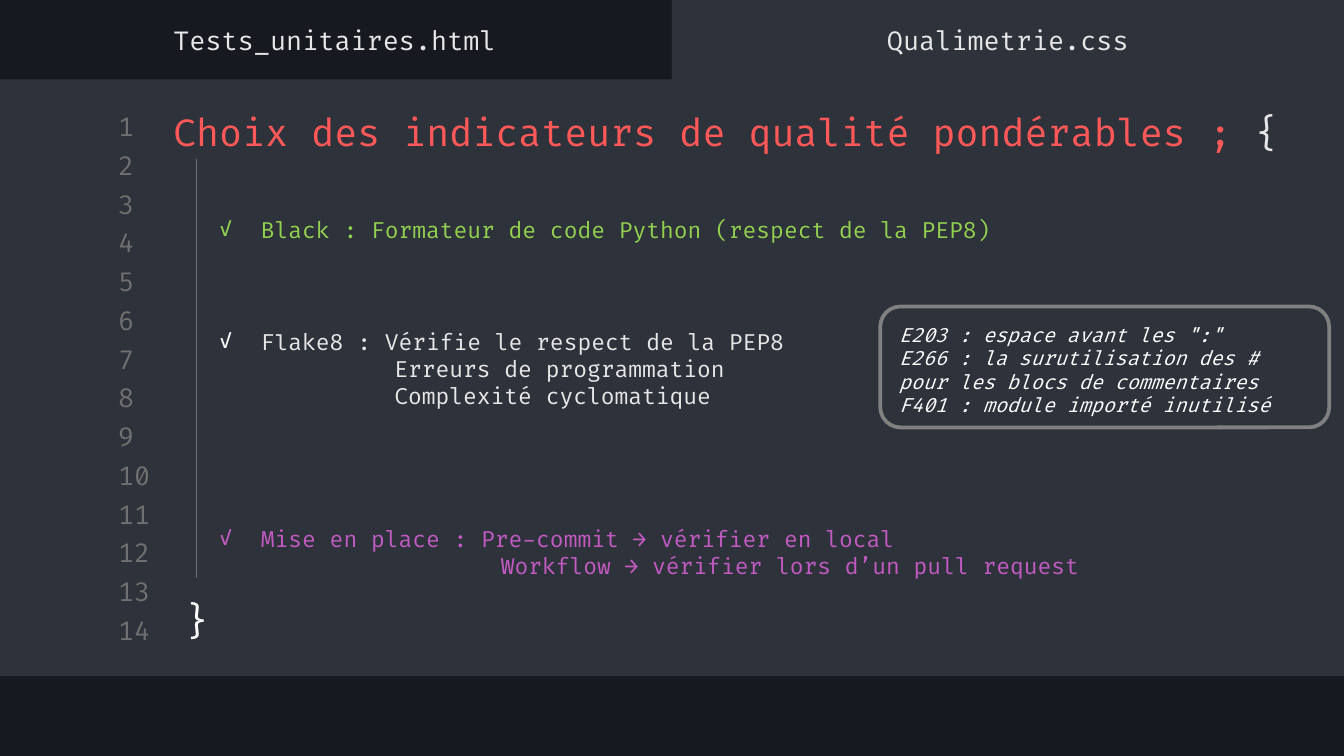
"""Build the slide on quality indicators, styled as a code editor."""
from lxml.etree import SubElement
from pptx import Presentation
from pptx.dml.color import RGBColor
from pptx.enum.shapes import MSO_CONNECTOR, MSO_SHAPE
from pptx.enum.text import MSO_ANCHOR, PP_ALIGN
from pptx.oxml.ns import qn
from pptx.util import Pt

NIGHT = RGBColor(0x16, 0x19, 0x1F)
PANEL = RGBColor(0x2E, 0x32, 0x3B)
DIM = RGBColor(0x70, 0x70, 0x70)
GRAY = RGBColor(0x80, 0x80, 0x80)
LIGHT = RGBColor(0xE7, 0xE7, 0xE7)
WHITE = RGBColor(0xFF, 0xFF, 0xFF)
RED = RGBColor(0xFF, 0x58, 0x58)
GREEN = RGBColor(0x92, 0xD0, 0x50)
PURPLE = RGBColor(0xC1, 0x5B, 0xC1)

FONT = "Fira Code"
HEADING = {"name": FONT, "size": Pt(20)}
LABEL = {"name": FONT, "size": Pt(14)}
BODY = {"name": FONT, "size": Pt(12)}
NOTE = {"name": FONT, "size": Pt(10.5), "italic": True}
INDENT = 22.5


class Editor:
    def __init__(self, s, inset=7.2):
        self.s = s
        self.inset = inset
        s.background.fill.solid()
        s.background.fill.fore_color.rgb = NIGHT

    def shape(self, kind, box, fill=None, line=None, width=2):
        sp = self.s.shapes.add_shape(kind, *map(Pt, box))
        sp.shadow.inherit = False
        if fill is None:
            sp.fill.background()
        else:
            sp.fill.solid()
            sp.fill.fore_color.rgb = fill
        if line is None:
            sp.line.fill.background()
        else:
            sp.line.color.rgb = line
            sp.line.width = Pt(width)

    def line(self, x, top, bottom, color):
        ends = map(Pt, (x, top, x, bottom))
        sp = self.s.shapes.add_connector(MSO_CONNECTOR.STRAIGHT, *ends)
        sp.line.color.rgb = color
        sp.line.width = Pt(0.75)
        SubElement(sp._element.spPr, qn("a:effectLst"))

    def frame(self, box, anchor=MSO_ANCHOR.MIDDLE, margin_y=None):
        tf = self.s.shapes.add_textbox(*map(Pt, box)).text_frame
        side = Pt(self.inset)
        end = side if margin_y is None else Pt(margin_y)
        values = {"word_wrap": True, "vertical_anchor": anchor,
                  "margin_left": side, "margin_right": side,
                  "margin_top": end, "margin_bottom": end}
        for name, value in values.items():
            setattr(tf, name, value)
        return tf

    def paragraph(self, tf, runs, style, align=PP_ALIGN.LEFT, before=0):
        p = tf.paragraphs[0]
        if p.runs:
            p = tf.add_paragraph()
        p.alignment = align
        p.space_before = Pt(before)
        for text, color in runs:
            r = p.add_run()
            r.text = text
            r.font.color.rgb = color
            for name, value in style.items():
                setattr(r.font, name, value)
        return p

    def text(self, box, runs, style, align=PP_ALIGN.LEFT,
             anchor=MSO_ANCHOR.MIDDLE):
        self.paragraph(self.frame(box, anchor), runs, style, align)

    def item(self, tf, text, color, check, before):
        p = self.paragraph(tf, [(text, color)], BODY, before=before)
        pPr = p._p.get_or_add_pPr()
        pPr.set("marL", str(Pt(INDENT)))
        pPr.set("indent", str(-Pt(INDENT)))
        SubElement(SubElement(pPr, qn("a:buClr")), qn("a:srgbClr"), val=str(check))
        SubElement(pPr, qn("a:buFont"), typeface=FONT)
        SubElement(pPr, qn("a:buChar"), char="✓")

    def detail(self, tf, text, color, left):
        p = self.paragraph(tf, [(text, color)], BODY)
        p._p.get_or_add_pPr().set("marL", str(Pt(left)))


def main():
    prs = Presentation()
    prs.slide_width, prs.slide_height = Pt(720), Pt(405)
    ed = Editor(prs.slides.add_slide(prs.slide_layouts[6]))

    ed.shape(MSO_SHAPE.RECTANGLE, (0, 42.5, 720, 319.7), PANEL)
    ed.shape(MSO_SHAPE.RECTANGLE, (360, 0, 360, 49.7), PANEL)
    for i in range(14):
        ed.text((56.2, 59 + 20.75 * i, 33.8, 17.3), [(str(i + 1), DIM)], LABEL)

    title = [("Choix des indicateurs de qualité pondérables ; ", RED), ("{", LIGHT)]
    ed.text((85.7, 49, 634.3, 43.2), title, HEADING)

    tf = ed.frame((110.2, 106.6, 573.1, 213.1))
    items = [
        ("Black : Formateur de code Python (respect de la PEP8)",
         GREEN, GREEN, 0, 0, []),
        ("Flake8 : Vérifie le respect de la PEP8", LIGHT, WHITE, 45.6, 94,
         ["Erreurs de programmation", "Complexité cyclomatique"]),
        ("Mise en place : Pre-commit → vérifier en local",
         PURPLE, PURPLE, 62.4, 151,
         ["Workflow → vérifier lors d’un pull request"]),
    ]
    for text, color, check, before, left, details in items:
        ed.item(tf, text, color, check, before)
        for detail in details:
            ed.detail(tf, detail, color, left)

    ed.text((85.7, 312.5, 39.6, 41), [("}", WHITE)], HEADING,
            PP_ALIGN.CENTER, MSO_ANCHOR.TOP)
    ed.line(105.2, 85, 309.6, DIM)

    for left, name in ((360, "Qualimetrie.css"), (-0.7, "Tests_unitaires.html")):
        ed.text((left, 7.2, 360, 28.1), [(name, LIGHT)], LABEL, PP_ALIGN.CENTER)

    tf = ed.frame((474.5, 169.2, 234, 58.3), MSO_ANCHOR.TOP, 3.6)
    for rule in ('E203 : espace avant les ":"',
                 "E266 : la surutilisation des # pour les blocs de commentaires",
                 "F401 : module importé inutilisé"):
        ed.paragraph(tf, [(rule, WHITE)], NOTE)
    ed.shape(MSO_SHAPE.ROUNDED_RECTANGLE, (471.6, 164.2, 240.5, 64.8), line=GRAY)

    prs.save("out.pptx")


if __name__ == "__main__":
    main()
